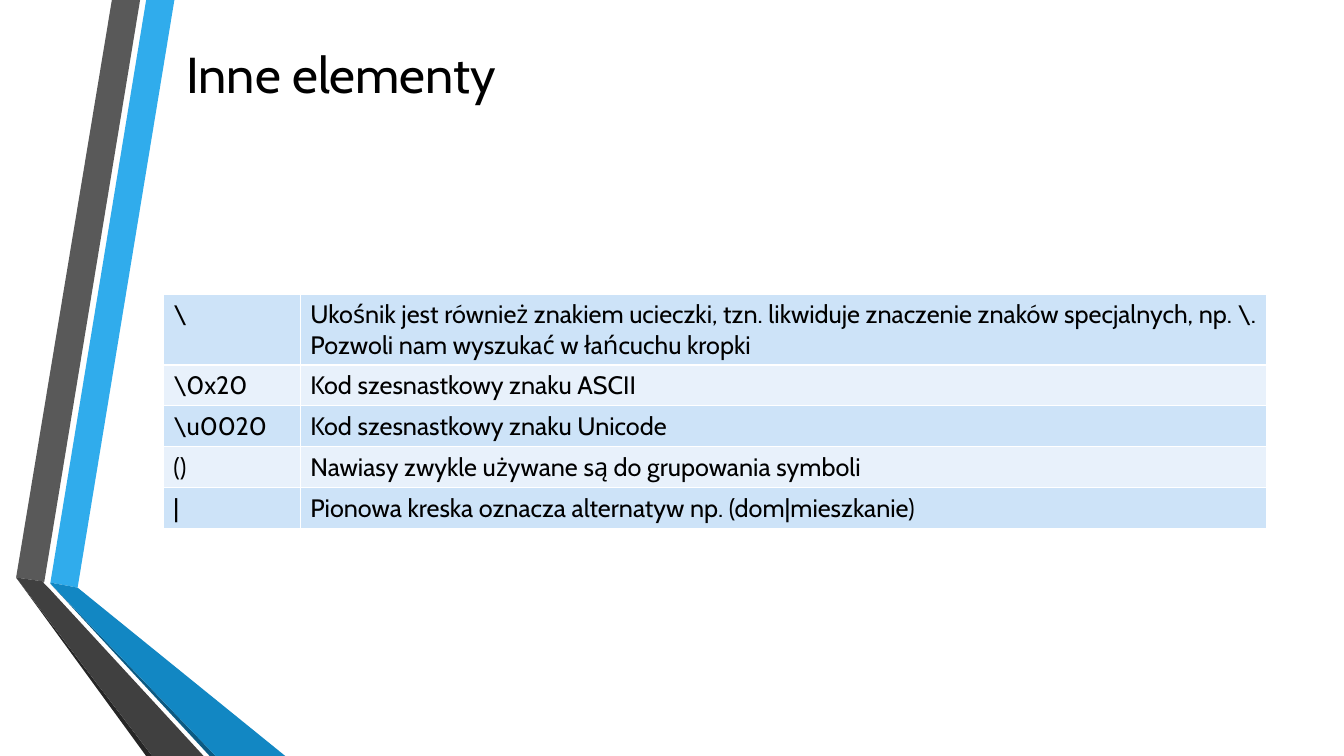
from lxml import etree
from pptx import Presentation
from pptx import util as u
from pptx.dml.color import RGBColor
from pptx.enum import text
from pptx.oxml.ns import qn

COLORS = {
    "ink": "000000", "white": "FFFFFF",
    "sky": "30ACEC", "blue": "1287C3", "navy": "0C5A82",
    "grey": "595959", "charcoal": "404040", "soot": "262626",
    "band": "CDE3F8", "light": "E8F1FB",
}
FONT = "Cabin"
GRID_COLUMNS, GRID_ROWS = 40, 22.5
BOTTOM = GRID_ROWS

# Ribbon faces from back to front; points are (column, row).
RIBBONS = [
    ("sky", [(1.5, 17.34), (2.31, 17.49), (5.19, 0), (4.35, 0)]),
    ("grey", [(4.17, 0), (3.33, 0), (0.48, 17.19), (1.32, 17.31)]),
    ("soot", [(0.48, 17.19), (4.35, BOTTOM), (4.53, BOTTOM)]),
    ("navy", [(1.5, 17.37), (6.24, BOTTOM), (6.42, BOTTOM)]),
    ("blue", [(1.5, 17.34), (1.5, 17.37), (6.42, BOTTOM), (8.49, BOTTOM),
              (2.31, 17.49)]),
    ("charcoal", [(6.06, BOTTOM), (1.44, 17.49), (1.29, 17.34), (1.32, 17.31),
                  (0.48, 17.19), (4.53, BOTTOM)]),
]
SYMBOLS = [
    ("\\", "Ukośnik jest również znakiem ucieczki, tzn. likwiduje znaczenie "
           "znaków specjalnych, np. \\.\nPozwoli nam wyszukać w łańcuchu kropki"),
    ("\\0x20", "Kod szesnastkowy znaku ASCII"),
    ("\\u0020", "Kod szesnastkowy znaku Unicode"),
    ("()", "Nawiasy zwykle używane są do grupowania symboli"),
    ("|", "Pionowa kreska oznacza alternatyw np. (dom|mieszkanie)"),
]


def rgb(name):
    """Return the named colour."""
    return RGBColor.from_string(COLORS[name])


class SlideBuilder:
    """Draws styled elements on one slide, placed on a grid."""

    def __init__(self, deck):
        """Add a blank slide and measure its grid."""
        self.page = deck.slides.add_slide(deck.slide_layouts[6])
        self.column = deck.slide_width / GRID_COLUMNS
        self.row = deck.slide_height / GRID_ROWS

    def place(self, column, row):
        """Convert a grid pair to slide lengths."""
        return u.Emu(round(column * self.column)), u.Emu(round(row * self.row))

    def set_words(self, frame, words, size):
        """Fill a text frame and format its runs."""
        frame.text = words
        frame.word_wrap = True
        for para in frame.paragraphs:
            for span in para.runs:
                span.font.name = FONT
                span.font.size = u.Pt(size)
                span.font.color.rgb = rgb("ink")

    def polygon(self, points, color):
        """Draw a closed filled outline."""
        start, *others = [self.place(*point) for point in points]
        builder = self.page.shapes.build_freeform(*start)
        builder.add_line_segments(others, close=True)
        shape = builder.convert_to_shape()
        shape.shadow.inherit = False
        shape.fill.solid()
        shape.fill.fore_color.rgb = rgb(color)
        shape.line.fill.background()

    def title(self, words, corner, extent):
        """Add the heading, centred vertically in its box."""
        box = self.page.shapes.add_textbox(*self.place(*corner), *self.place(*extent))
        self.set_words(box.text_frame, words, 36)
        box.text_frame.vertical_anchor = text.MSO_ANCHOR.MIDDLE

    def border(self, cell):
        """Give a cell thin white edges."""
        properties = cell._tc.get_or_add_tcPr()
        for side in ("a:lnL", "a:lnR", "a:lnT", "a:lnB"):
            line = etree.SubElement(properties, qn(side), w=str(u.Pt(1)))
            fill = etree.SubElement(line, qn("a:solidFill"))
            etree.SubElement(fill, qn("a:srgbClr"), val=COLORS["white"])

    def table(self, entries, corner, widths, heights):
        """Add a banded table without a header."""
        extent = self.place(sum(widths), sum(heights))
        frame = self.page.shapes.add_table(
            len(entries), len(widths), *self.place(*corner), *extent)
        table = frame.table
        table.first_row = False
        for column, width in zip(table.columns, widths):
            column.width = self.place(width, 0)[0]
        for index, (entry, height) in enumerate(zip(entries, heights)):
            table.rows[index].height = self.place(0, height)[1]
            for cell, words in zip(table.rows[index].cells, entry):
                self.set_words(cell.text_frame, words, 18)
                self.border(cell)
                cell.fill.solid()
                cell.fill.fore_color.rgb = rgb("light" if index % 2 else "band")


def main():
    """Build and save the slide."""
    deck = Presentation()
    deck.slide_width, deck.slide_height = u.Inches(13.33), u.Inches(7.5)
    slide = SlideBuilder(deck)
    for color, points in RIBBONS:
        slide.polygon(points, color)
    slide.title("Inne elementy", (5.25, 0.84), (18.09, 2.67))
    slide.table(SYMBOLS, (4.86, 8.76), (4.08, 28.77), [2.1] + [1.22] * 4)
    deck.save("out.pptx")


main()
